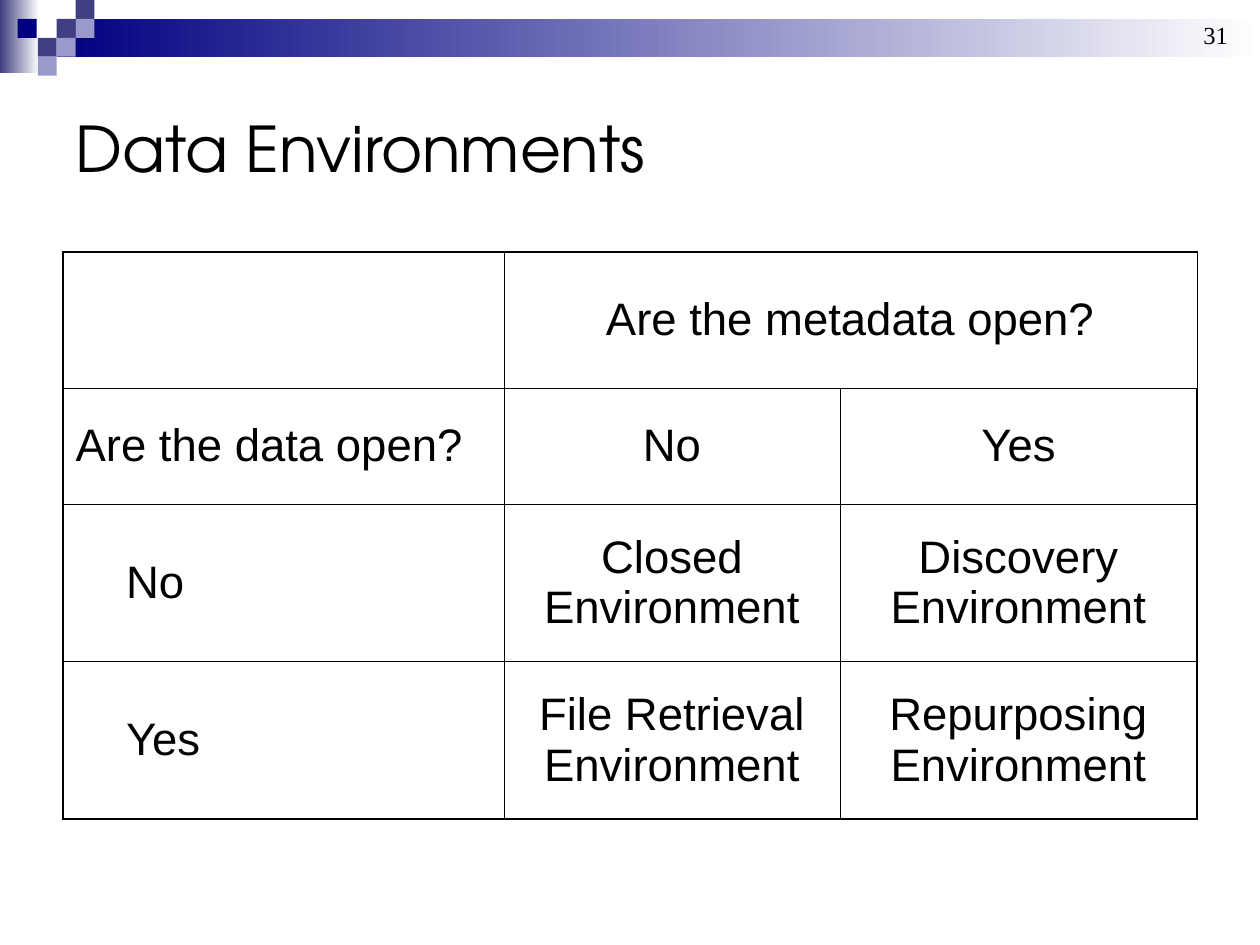
from lxml.etree import SubElement
from pptx import Presentation
from pptx.dml.color import RGBColor
from pptx.enum.shapes import MSO_SHAPE as Shape
from pptx.enum.text import MSO_ANCHOR as Anchor, PP_ALIGN as Align
from pptx.oxml.ns import qn
from pptx.util import Pt

BLACK, WHITE, NAVY, SLATE, LILAC = "000000", "FFFFFF", "000080", "3F3F81", "9999CC"
TITLE = "Data Environments"
PAGE_NUMBER = "31"
GRADIENT_BARS = [
    (0, 0, 22.3, 41.8, SLATE),
    (32.4, 10.8, 687.6, 21.6, NAVY),
]
SQUARE = 10.8
SQUARES = [
    (32.4, 10.8, SLATE),
    (43.2, 0, SLATE),
    (43.2, 10.8, LILAC),
    (21.6, 21.6, SLATE),
    (10.1, 10.8, NAVY),
    (32.4, 21.6, LILAC),
    (21.6, 32.4, LILAC),
]
ROWS = [
    ["", "Are the metadata open?", ""],
    ["Are the data open?", "No", "Yes"],
    ["No", "Closed Environment", "Discovery Environment"],
    ["Yes", "File Retrieval Environment", "Repurposing Environment"],
]
COLUMN_WIDTHS = [252, 192, 204]
ROW_HEIGHTS = [78, 66, 90, 90]
FIRST_ANSWER_ROW = 2
MARGIN, ANSWER_MARGIN = 7.2, 36
OUTER, INNER = 1.08, 0.45


def color(value):
    return RGBColor.from_string(value)


def format_text(paragraph, font_name, size, alignment):
    paragraph.alignment = alignment
    for run in paragraph.runs:
        run.font.name = font_name
        run.font.size = Pt(size)
        run.font.color.rgb = color(BLACK)


def add_rectangle(slide, left, top, width, height):
    shape = slide.shapes.add_shape(
        Shape.RECTANGLE, Pt(left), Pt(top), Pt(width), Pt(height))
    shape.shadow.inherit = False
    shape.line.fill.background()
    return shape


def add_decoration(slide):
    for left, top, width, height, dark in GRADIENT_BARS:
        fill = add_rectangle(slide, left, top, width, height).fill
        fill.gradient()
        fill.gradient_angle = 180
        for stop, value in zip(fill.gradient_stops, (WHITE, dark)):
            stop.color.rgb = color(value)
    for left, top, value in SQUARES:
        fill = add_rectangle(slide, left, top, SQUARE, SQUARE).fill
        fill.solid()
        fill.fore_color.rgb = color(value)


def add_title(slide):
    title = slide.shapes.title
    title.left, title.top, title.width, title.height = Pt(36), Pt(39), Pt(648), Pt(90)
    title.text_frame.text = TITLE
    title.text_frame.vertical_anchor = Anchor.MIDDLE
    format_text(title.text_frame.paragraphs[0], "TeX Gyre Adventor", 36, Align.LEFT)


def set_borders(cell, row, column):
    outer_sides = {
        "L": column == 0,
        "R": column == len(COLUMN_WIDTHS) - 1,
        "T": row == 0,
        "B": row == len(ROW_HEIGHTS) - 1,
    }
    properties = cell._tc.get_or_add_tcPr()
    for side, is_outer in outer_sides.items():
        width = Pt(OUTER if is_outer else INNER)
        line = SubElement(properties, qn(f"a:ln{side}"), w=str(width))
        fill = SubElement(line, qn("a:solidFill"))
        SubElement(fill, qn("a:srgbClr"), val=BLACK)


def add_environment_table(slide):
    table = slide.shapes.add_table(
        len(ROW_HEIGHTS), len(COLUMN_WIDTHS), Pt(36), Pt(144),
        Pt(sum(COLUMN_WIDTHS)), Pt(sum(ROW_HEIGHTS))).table
    table.first_row = table.horz_banding = False
    for table_column, width in zip(table.columns, COLUMN_WIDTHS):
        table_column.width = Pt(width)
    for table_row, height in zip(table.rows, ROW_HEIGHTS):
        table_row.height = Pt(height)
    for row, texts in enumerate(ROWS):
        for column, text in enumerate(texts):
            cell = table.cell(row, column)
            is_answer = column == 0 and row >= FIRST_ANSWER_ROW
            cell.margin_left = Pt(ANSWER_MARGIN if is_answer else MARGIN)
            cell.vertical_anchor = Anchor.MIDDLE
            set_borders(cell, row, column)
            cell.fill.background()
            cell.text_frame.text = text
            format_text(cell.text_frame.paragraphs[0], "Arial", 26,
                        Align.CENTER if column else Align.LEFT)
    table.cell(0, 1).merge(table.cell(0, 2))


def add_page_number(slide):
    box = slide.shapes.add_textbox(Pt(558.7), Pt(7.9), Pt(150), Pt(36))
    box.text_frame.word_wrap = True
    box.text_frame.text = PAGE_NUMBER
    format_text(box.text_frame.paragraphs[0], "Times New Roman", 14, Align.RIGHT)


def main():
    presentation = Presentation()
    presentation.slide_width, presentation.slide_height = Pt(720), Pt(540)
    slide = presentation.slides.add_slide(presentation.slide_layouts[5])
    add_decoration(slide)
    add_title(slide)
    add_environment_table(slide)
    add_page_number(slide)
    presentation.save("out.pptx")


if __name__ == "__main__":
    main()
